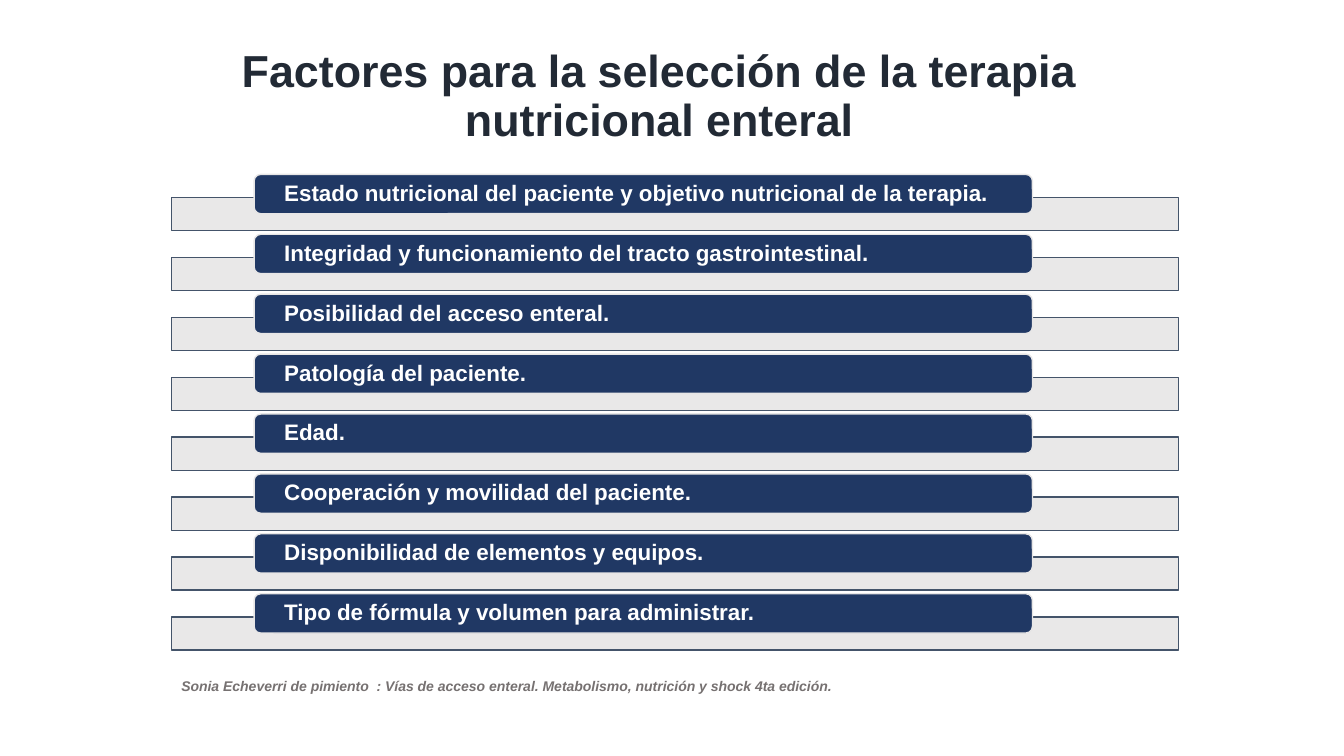
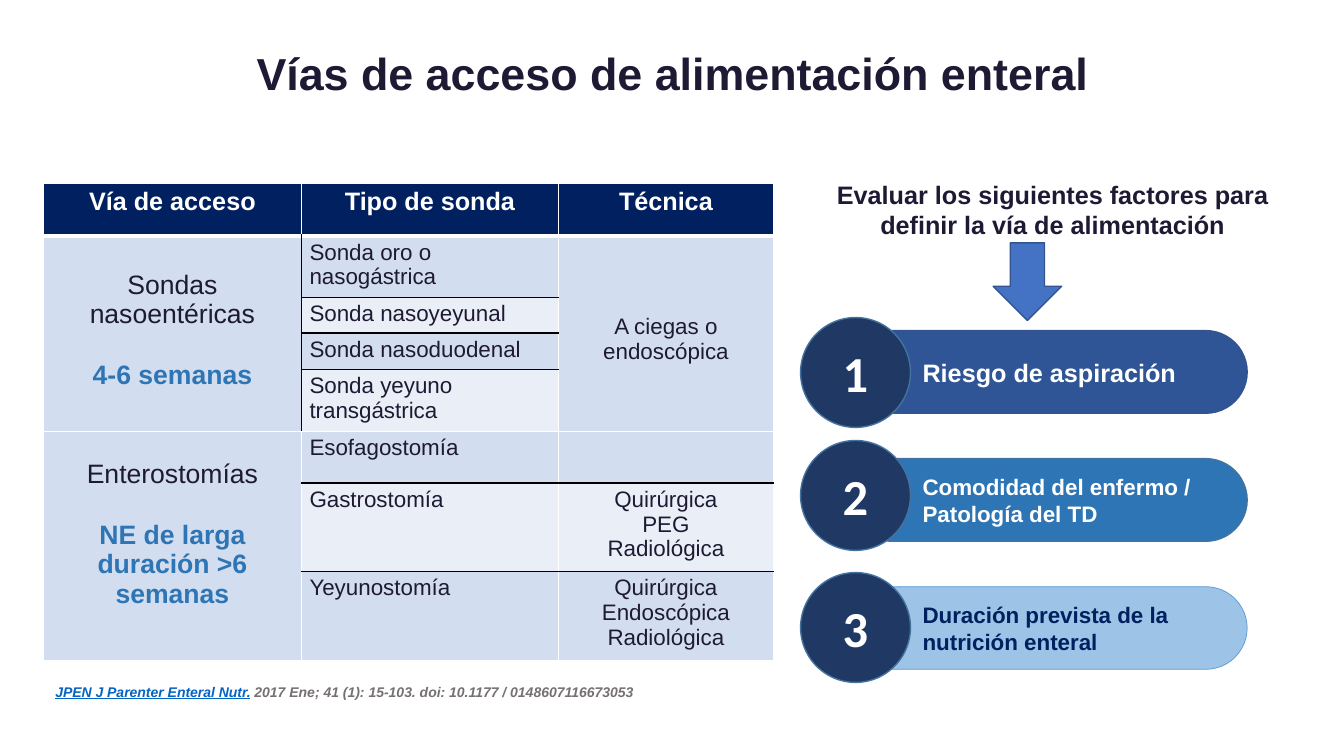
import pptx
import pptx.util
import pptx.dml.color
import pptx.enum.shapes
import pptx.enum.text
import pptx.oxml
import pptx.oxml.ns
from dataclasses import dataclass

Inches = pptx.util.Inches
Pt = pptx.util.Pt
RGB = pptx.dml.color.RGBColor.from_string
SHAPE = pptx.enum.shapes.MSO_SHAPE
ALIGN = pptx.enum.text.PP_ALIGN
ANCHOR = pptx.enum.text.MSO_ANCHOR


@dataclass(frozen=True)
class Theme:
    font: str = "Arial"
    number_font: str = "Calibri"
    white: str = "FFFFFF"
    black: str = "000000"
    slate: str = "222A35"
    ink: str = "1F1A34"
    navy: str = "203864"
    header: str = "002060"
    accent: str = "2E75B6"
    royal: str = "2F5597"
    sky: str = "9DC3E6"
    sky_line: str = "5B9BD5"
    arrow: str = "4472C4"
    arrow_line: str = "325491"
    circle_line: str = "43739E"
    bar: str = "E7E6E6"
    bar_line: str = "44546A"
    band_dark: str = "D2DEEF"
    band_light: str = "EAEFF7"
    source: str = "767171"
    link: str = "0563C1"
    title_size: int = 32
    number_size: int = 36
    group_size: int = 19
    head_size: int = 18
    body_size: int = 16
    source_size: int = 10


T = Theme()


def write(tf, text, size, color, bold=True, align=ALIGN.LEFT, anchor=ANCHOR.TOP, spacing=1.0, font=T.font):
    tf.text = text
    tf.word_wrap = True
    tf.vertical_anchor = anchor
    for p in tf.paragraphs:
        p.alignment = align
        p.line_spacing = spacing
        for r in p.runs:
            r.font.name = font
            r.font.size = Pt(size)
            r.font.bold = bold
            r.font.color.rgb = RGB(color)


def add_box(s, kind, at, fill, line, width=1):
    sp = s.shapes.add_shape(kind, *map(Inches, at))
    sp.shadow.inherit = False
    sp.fill.solid()
    sp.fill.fore_color.rgb = RGB(fill)
    sp.line.color.rgb = RGB(line)
    sp.line.width = Pt(width)
    return sp


prs = pptx.Presentation()
prs.slide_width = Inches(13.33)
prs.slide_height = Inches(7.5)
frames = [
    ("Factores para la selección de la terapia nutricional enteral", (1.18, 0.24, 10.72, 1.45), T.slate,
     ["Sonia Echeverri de pimiento  : Vías de acceso enteral. Metabolismo, nutrición y shock 4ta edición."],
     (1.7, 6.67)),
    ("Vías de acceso de alimentación enteral", (1.27, 0.25, 10.81, 1.01), T.ink,
     ["JPEN J Parenter Enteral Nutr.", " 2017 Ene; 41 (1): 15-103. doi: 10.1177 / 0148607116673053"],
     (0.45, 6.73)),
]
for title, title_at, title_color, source, source_at in frames:
    s = prs.slides.add_slide(prs.slide_layouts[6])
    sp = s.shapes.add_textbox(*map(Inches, title_at))
    write(sp.text_frame, title, T.title_size, title_color,
          align=ALIGN.CENTER, anchor=ANCHOR.MIDDLE, spacing=0.9)
    sp = s.shapes.add_textbox(*map(Inches, source_at), Inches(10.64), Inches(0.27))
    write(sp.text_frame, source[0], T.source_size, T.source)
    p = sp.text_frame.paragraphs[0]
    for part in source[1:]:
        p.runs[0].font.underline = True
        p.runs[0].font.color.rgb = RGB(T.link)
        r = p.add_run()
        r.text = part
        r.font.name = T.font
        r.font.size = Pt(T.source_size)
        r.font.bold = True
        r.font.color.rgb = RGB(T.source)
    for r in p.runs:
        r.font.italic = True

factors_slide, routes_slide = prs.slides

factors = [
    "Estado nutricional del paciente y objetivo nutricional de la terapia.",
    "Integridad y funcionamiento del tracto gastrointestinal.",
    "Posibilidad del acceso enteral.",
    "Patología del paciente.",
    "Edad.",
    "Cooperación y movilidad del paciente.",
    "Disponibilidad de elementos y equipos.",
    "Tipo de fórmula y volumen para administrar.",
]
pitch = (6.12 - 1.96) / (len(factors) - 1)
for i, factor in enumerate(factors):
    sp = add_box(factors_slide, SHAPE.RECTANGLE, (1.7, 1.96 + i * pitch, 9.99, 0.33), T.bar, T.bar_line)
    color = sp.fill._xPr.find(".//" + pptx.oxml.ns.qn("a:srgbClr"))
    color.append(pptx.oxml.parse_xml(f'<a:alpha {pptx.oxml.ns.nsdecls("a")} val="90000"/>'))
    sp = add_box(factors_slide, SHAPE.ROUNDED_RECTANGLE, (2.52, 1.73 + i * pitch, 7.72, 0.39), T.navy, T.bar)
    tf = sp.text_frame
    tf.margin_left = tf.margin_right = Inches(0.28)
    tf.margin_top = tf.margin_bottom = 0
    write(tf, factor, T.body_size, T.white, anchor=ANCHOR.MIDDLE, spacing=0.9)

s = routes_slide
steps = [
    ("Riesgo de aspiración", T.head_size, T.white, T.royal, T.arrow_line, 1, 3.15),
    ("Comodidad del enfermo / Patología del TD", T.body_size, T.white, T.accent, T.circle_line, 1, 4.37),
    ("Duración prevista de la nutrición enteral", T.body_size, T.header, T.sky, T.sky_line, 0.5, 5.68),
]
for i, (text, size, color, fill, line, width, circle_top) in enumerate(steps):
    sp = add_box(s, SHAPE.ROUNDED_RECTANGLE, (8.44, 3.28 + i * 1.27, 3.93, 0.82), fill, line, width)
    sp.adjustments[0] = 0.5
    sp.text_frame.margin_left = Inches(0.59)
    write(sp.text_frame, text, size, color, anchor=ANCHOR.MIDDLE)
    sp = add_box(s, SHAPE.OVAL, (7.94, circle_top, 1.09, 1.09), T.navy, T.circle_line)
    write(sp.text_frame, str(i + 1), T.number_size, T.white,
          align=ALIGN.CENTER, anchor=ANCHOR.MIDDLE, font=T.number_font)

sp = s.shapes.add_textbox(Inches(7.98), Inches(1.73), Inches(4.92), Inches(0.71))
write(sp.text_frame, "Evaluar los siguientes factores para definir la vía de alimentación",
      T.head_size, T.ink, align=ALIGN.CENTER)
add_box(s, SHAPE.DOWN_ARROW, (9.85, 2.41, 0.68, 0.77), T.arrow, T.arrow_line)

rows = [
    ("Vía de acceso", "Tipo de sonda", "Técnica"),
    ("Sondas nasoentéricas\n4-6 semanas", "Sonda oro o nasogástrica", "A ciegas o endoscópica"),
    ("", "Sonda nasoyeyunal", ""),
    ("", "Sonda nasoduodenal", ""),
    ("", "Sonda yeyuno transgástrica", ""),
    ("Enterostomías\nNE de larga duración >6\nsemanas", "Esofagostomía", ""),
    ("", "Gastrostomía", "Quirúrgica\nPEG\nRadiológica"),
    ("", "Yeyunostomía", "Quirúrgica\nEndoscópica\nRadiológica"),
]
col_widths = [2.56, 2.55, 2.13]
row_heights = [0.52, 0.61, 0.35, 0.36, 0.62, 0.51, 0.88, 0.88]
top_margins = {(1, 0): 0.34, (1, 2): 0.78, (5, 0): 0.28}
black_left = {(r, 1) for r in range(1, 5)}
black_below = {(1, 1), (2, 1), (3, 1), (5, 1), (5, 2), (6, 1), (6, 2)}

table = s.shapes.add_table(len(rows), len(col_widths), Inches(0.43), Inches(1.82),
                           Inches(sum(col_widths)), Inches(sum(row_heights))).table
for col, width in zip(table.columns, col_widths):
    col.width = Inches(width)
for row, height in zip(table.rows, row_heights):
    row.height = Inches(height)
for first, last in [((1, 0), (4, 0)), ((1, 2), (4, 2)), ((5, 0), (7, 0))]:
    table.cell(*first).merge(table.cell(*last))

for i, row in enumerate(rows):
    for j, text in enumerate(row):
        cell = table.cell(i, j)
        cell.margin_left = cell.margin_right = Inches(0.08)
        cell.margin_top = Inches(top_margins.get((i, j), 0.04))
        cell.margin_bottom = Inches(0.04)
        light = j > 0 and i in (2, 4, 6)
        cell.fill.solid()
        cell.fill.fore_color.rgb = RGB(T.header if i == 0 else T.band_light if light else T.band_dark)
        if text:
            size = T.head_size if i == 0 else T.group_size if j == 0 else T.body_size
            write(cell.text_frame, text, size, T.white if i == 0 else T.ink, bold=i == 0,
                  align=ALIGN.LEFT if i and j == 1 else ALIGN.CENTER)
        if i and j == 0:
            for k, p in enumerate(cell.text_frame.paragraphs[1:]):
                p.space_before = Pt(0 if k else 22)
                for r in p.runs:
                    r.font.bold = True
                    r.font.color.rgb = RGB(T.accent)
        edges = [
            ("L", (i, j) in black_left, 1),
            ("R", (i, j + 1) in black_left, 1),
            ("T", (i - 1, j) in black_below, 3 if i == 1 else 1),
            ("B", (i, j) in black_below, 3 if i == 0 else 1),
        ]
        tcPr = cell._tc.get_or_add_tcPr()
        for k, (side, dark, width) in enumerate(edges):
            tcPr.insert(k, pptx.oxml.parse_xml(
                f'<a:ln{side} {pptx.oxml.ns.nsdecls("a")} w="{Pt(width)}"><a:solidFill>'
                f'<a:srgbClr val="{T.black if dark else T.white}"/></a:solidFill></a:ln{side}>'))

prs.save("out.pptx")
